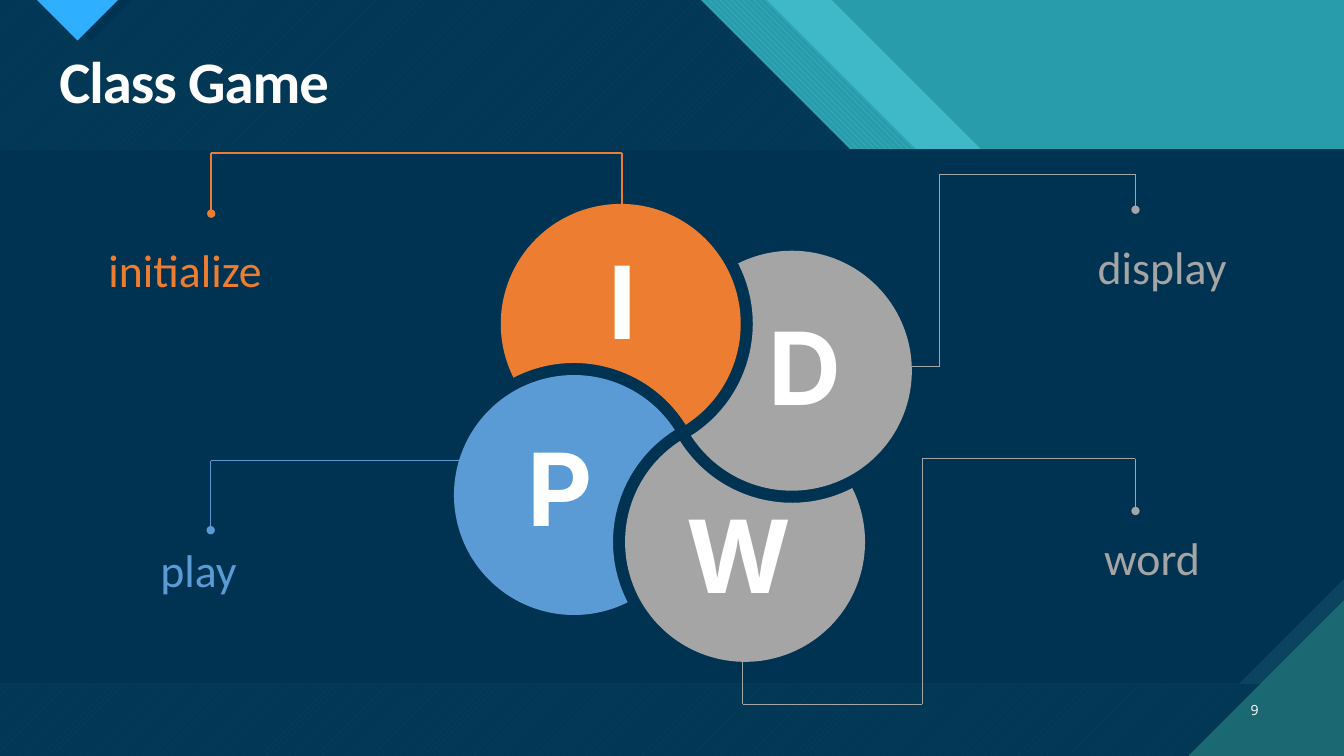
from itertools import pairwise
from math import acos, cos, pi, radians, sin, sqrt, tan

from lxml.etree import SubElement
from pptx import Presentation
from pptx.dml.color import RGBColor as RGB
from pptx.enum.dml import MSO_PATTERN as Pattern
from pptx.enum.shapes import MSO_CONNECTOR as Connector
from pptx.enum.shapes import MSO_SHAPE as Shape
from pptx.enum.text import PP_ALIGN as Align
from pptx.oxml.ns import qn
from pptx.util import Pt

NAVY = RGB(0x00, 0x33, 0x52)
STEEL = RGB(0x0C, 0x43, 0x60)
TEAL = RGB(0x29, 0x9C, 0xAB)
AQUA = RGB(0x47, 0xC3, 0xD3)
DEEP_TEAL = RGB(0x1B, 0x68, 0x72)
SKY = RGB(0x2F, 0xAF, 0xFF)
WHITE = RGB(0xFF, 0xFF, 0xFF)
ORANGE = RGB(0xED, 0x7D, 0x31)
GREY = RGB(0xA5, 0xA5, 0xA5)
BLUE = RGB(0x5B, 0x9B, 0xD5)

WIDTH, HEIGHT = 960, 540
HEADER, FOOTER = 214, 488.3
BAND_TOP = 106.8

# Pinwheel of four circles, each notched by the circle before it
HUB = (487.8, 309.2)
ORBIT = 89.6
PETAL_RADIUS = 85.7
NOTCH_RADIUS = 94.3
FIRST_ANGLE = radians(-119.7)


def around(center, radius, angle):
    """Return the point at an angle on a circle."""
    return center[0] + radius * cos(angle), center[1] + radius * sin(angle)


def arc(center, radius, start, end, pieces):
    """Return two handles and an end point for each Bezier piece of an arc."""
    step = (end - start) / pieces
    pull = 4 / 3 * tan(step / 4)
    points = []
    for angle in (start + step * i for i in range(pieces)):
        for turn, side in ((angle, pull), (angle + step, -pull)):
            x, y = around(center, radius, turn)
            points.append((x - side * radius * sin(turn),
                           y + side * radius * cos(turn)))
        points.append(around(center, radius, angle + step))
    return points


def petal_outline(index):
    """Return the curve of a circle notched by the preceding circle."""
    angle = FIRST_ANGLE + index * pi / 2
    center = around(HUB, ORBIT, angle)
    neighbour = around(HUB, ORBIT, angle - pi / 2)
    gap = ORBIT * sqrt(2)
    toward = angle - 3 * pi / 4
    reach = (gap**2 + PETAL_RADIUS**2 - NOTCH_RADIUS**2) / (2 * gap)
    outer = acos(reach / PETAL_RADIUS)
    inner = acos((gap - reach) / NOTCH_RADIUS)
    return ([around(center, PETAL_RADIUS, toward + outer)]
            + arc(center, PETAL_RADIUS, toward + outer,
                  toward + 2 * pi - outer, 4)
            + arc(neighbour, NOTCH_RADIUS, toward + pi + inner,
                  toward + pi - inner, 1))


def header_layer(top_x, step_x):
    """Return a backdrop outline with a slanted header edge and right step."""
    return [(0, 0), (top_x, 0), (top_x + HEADER, HEADER), (step_x, HEADER),
            (WIDTH, HEADER + WIDTH - step_x), (WIDTH, HEIGHT), (0, HEIGHT)]


class Canvas:
    """Holds the current slide and its drawing style."""

    body_font = "Calibri"

    def __init__(self, slide):
        """Draw on the given slide."""
        self.shapes = slide.shapes

    def paint(self, shape, fill, opacity=100):
        """Give a shape a solid or (pattern, fore, back) fill and no line."""
        shape.shadow.inherit = False
        shape.line.fill.background()
        if isinstance(fill, RGB):
            shape.fill.solid()
            shape.fill.fore_color.rgb = fill
            if opacity < 100:
                color = shape._element.spPr.find(".//" + qn("a:srgbClr"))
                SubElement(color, qn("a:alpha"), val=str(opacity * 1000))
        else:
            shape.fill.patterned()
            shape.fill.pattern, fore, back = fill
            shape.fill.fore_color.rgb = fore
            shape.fill.back_color.rgb = back

    def rectangle(self, left, top, width, height, fill):
        """Draw a filled rectangle."""
        box = self.shapes.add_shape(Shape.RECTANGLE, Pt(left), Pt(top),
                                    Pt(width), Pt(height))
        self.paint(box, fill)

    def polygon(self, points, fill, opacity=100):
        """Draw a closed filled outline and return it."""
        corners = [(Pt(x), Pt(y)) for x, y in points]
        builder = self.shapes.build_freeform(*corners[0], scale=1.0)
        builder.add_line_segments(corners[1:], close=True)
        outline = builder.convert_to_shape()
        self.paint(outline, fill, opacity)
        return outline

    def curve(self, points, fill):
        """Draw a closed outline whose points come in Bezier triples."""
        outline = self.polygon(points, fill)
        track = outline._element.find(".//" + qn("a:path"))
        lines = track.findall(qn("a:lnTo"))
        for triple in zip(lines[::3], lines[1::3], lines[2::3]):
            bend = SubElement(track, qn("a:cubicBezTo"))
            triple[0].addprevious(bend)
            for line in triple:
                bend.append(line[0])
                track.remove(line)

    def leader(self, points, color, weight):
        """Draw a bent line that ends in a dot."""
        for start, end in pairwise(points):
            segment = self.shapes.add_connector(
                Connector.STRAIGHT, *(Pt(v) for v in start + end))
            segment.line.color.rgb = color
            segment.line.width = Pt(weight)
            properties = segment._element.spPr
            SubElement(properties, qn("a:effectLst"))
        SubElement(properties.find(qn("a:ln")), qn("a:tailEnd"), type="oval")

    def text(self, words, left, top, width, height, *, size, color,
             font=body_font, bold=False, align=Align.LEFT,
             insets=(7.2, 3.6, 7.2, 3.6), line_spacing=None, tracking=0):
        """Write one line of formatted text."""
        box = self.shapes.add_textbox(Pt(left), Pt(top), Pt(width), Pt(height))
        frame = box.text_frame
        frame.word_wrap = True
        (frame.margin_left, frame.margin_top,
         frame.margin_right, frame.margin_bottom) = map(Pt, insets)
        paragraph = frame.paragraphs[0]
        paragraph.alignment = align
        if line_spacing:
            paragraph.line_spacing = line_spacing
        run = paragraph.add_run()
        run.text = words
        run.font.name, run.font.size = font, Pt(size)
        run.font.bold = bold
        run.font.color.rgb = color
        if tracking:
            run._r.get_or_add_rPr().set("spc", str(round(tracking * 100)))


def draw_backdrop(canvas):
    """Draw the layered header, the middle band and the corner accents."""
    canvas.rectangle(0, 0, WIDTH, HEIGHT, TEAL)
    canvas.polygon(header_layer(594, 888.5), AQUA, opacity=74)
    canvas.polygon(header_layer(547.5, 852.5),
                   (Pattern.WIDE_DOWNWARD_DIAGONAL, AQUA, TEAL))
    front = header_layer(500.4, 805)
    canvas.polygon(front, (Pattern.WIDE_UPWARD_DIAGONAL, AQUA, DEEP_TEAL))
    canvas.polygon(front, NAVY, opacity=90)
    canvas.polygon([(94.3, 0), (64.8, 29.5), (34.6, 0)], NAVY)
    canvas.polygon([(26.6, 0), (55.4, 28.8), (84.2, 0)],
                   (Pattern.DARK_HORIZONTAL, SKY, DEEP_TEAL))
    canvas.rectangle(0, BAND_TOP, WIDTH, FOOTER - BAND_TOP,
                     (Pattern.DARK_VERTICAL, STEEL, DEEP_TEAL))
    canvas.polygon([(0, BAND_TOP), (WIDTH, BAND_TOP), (WIDTH, FOOTER - 75),
                    (WIDTH - 75, FOOTER), (0, FOOTER)], NAVY)
    canvas.polygon([(WIDTH - 111, HEIGHT), (WIDTH, HEIGHT),
                    (WIDTH, HEIGHT - 111)],
                   (Pattern.DARK_HORIZONTAL, DEEP_TEAL, AQUA))
    canvas.text("9", 886.3, 497.5, 31.7, 28.8, size=10, color=WHITE,
                font="Open Sans")


# Letter and its place, method name and its box, alignment, colour, leader
METHODS = [
    ("I", (387.4, 165.3), "initialize", (77.4, 169.2, 146.2), Align.LEFT, ORANGE,
     [(444.2, 152.6), (444.2, 109.4), (150.9, 109.4), (150.9, 152.6)], 1.5),
    ("D", (517.7, 212.4), "display", (753.1, 166.7, 123.1), Align.RIGHT, GREY,
     [(644.4, 261.8), (671.3, 261.8), (671.3, 124.6), (811.1, 124.6),
      (811.1, 149.8)], 1),
    ("W", (470.2, 347), "word", (767.9, 375.1, 89.3), Align.RIGHT, GREY,
     [(530.4, 461.5), (530.4, 503.1), (658.8, 503.1), (658.8, 327.6),
      (811.1, 327.6), (811.1, 365)], 1),
    ("P", (342.7, 299.2), "play", (114.5, 383.6, 72.7), Align.LEFT, BLUE,
     [(328.3, 329), (150.5, 329), (150.5, 378.7)], 1),
]


def draw_methods(canvas):
    """Draw the pinwheel with a letter, leader and label for each method."""
    for index, (*_, color, _, _) in enumerate(METHODS):
        canvas.curve(petal_outline(index), color)
    for letter, place, method, label, align, color, bends, weight in METHODS:
        canvas.text(letter, *place, 115.2, 97.2, size=72, color=WHITE,
                    font="Inter", bold=True, align=Align.CENTER,
                    insets=(9.4, 5, 9.4, 5))
        canvas.text(method, *label, 43.2, size=32.7, color=color,
                    align=align, insets=(0, 3.6, 0, 0))
        canvas.leader(bends, color, weight)


deck = Presentation()
deck.slide_width, deck.slide_height = Pt(WIDTH), Pt(HEIGHT)
canvas = Canvas(deck.slides.add_slide(deck.slide_layouts[6]))
draw_backdrop(canvas)
draw_methods(canvas)
canvas.text("Class Game", 35.3, 33.8, 264.2, 53.3, size=42, color=WHITE,
            bold=True, line_spacing=0.9, tracking=-0.7)
deck.save("out.pptx")
